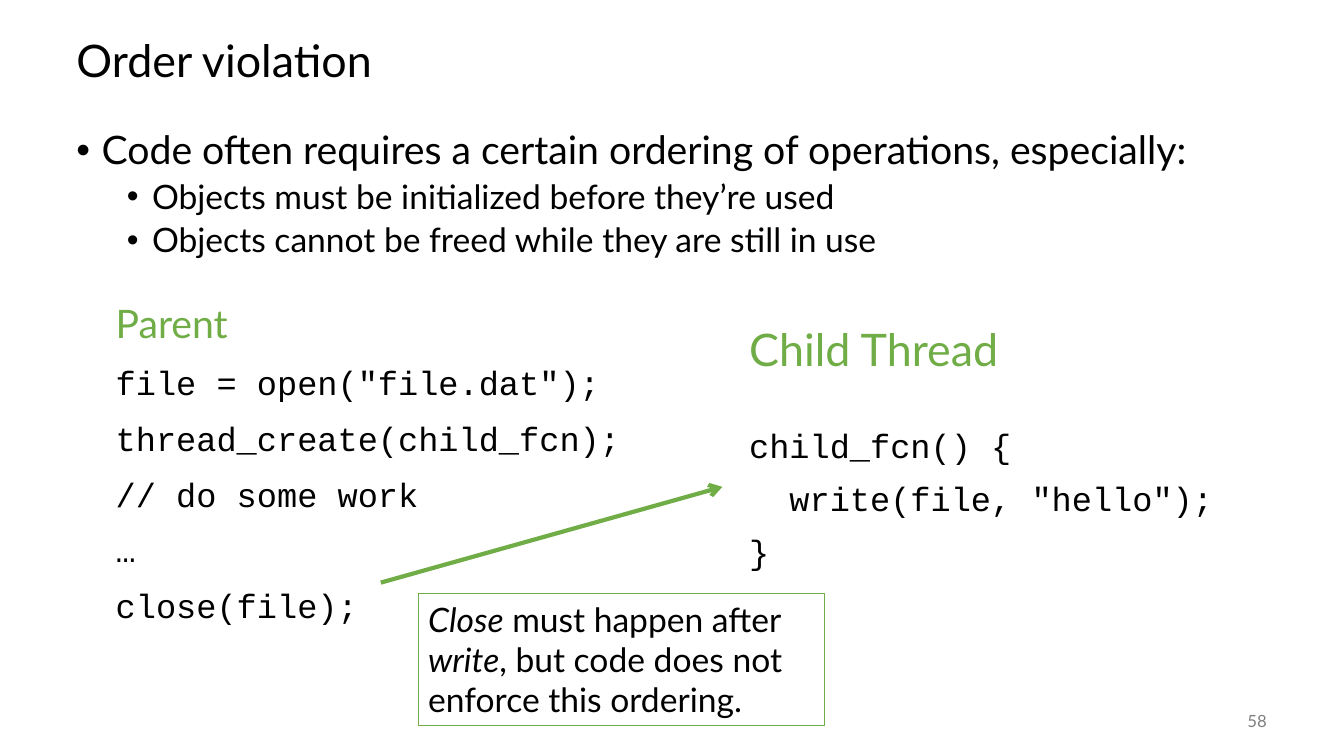
from lxml.etree import SubElement
from pptx import Presentation
from pptx.dml.color import RGBColor
from pptx.enum.shapes import MSO_CONNECTOR as Line, MSO_SHAPE as Shape
from pptx.enum.text import MSO_ANCHOR as Anchor, MSO_AUTO_SIZE as Fit, PP_ALIGN as Align
from pptx.oxml.ns import qn
from pptx.util import Inches, Pt

WIDTH, HEIGHT = Inches(13.33), Inches(7.5)
COLS, ROWS = 120, 60
GREEN, BLACK, GREY, WHITE = "70AD47", "000000", "808080", "FFFFFF"
SANS, MONO = "Lato", "Courier New"


def color(value):
    return RGBColor.from_string(value)


def grid(x, y, *size):
    places = [(x, y), size] if len(size) == 2 else [(x, y)]
    return [round(v) for col, row in places
            for v in (WIDTH * col / COLS, HEIGHT * row / ROWS)]


def para(text, size, font=SANS, fill=BLACK, bullet=None, **spacing):
    runs = [(text, False)] if isinstance(text, str) else text
    return dict(runs=runs, size=size, font=font, fill=fill, bullet=bullet,
                spacing=spacing)


def add_bullet(p, level):
    p.level = level
    pPr = p._p.get_or_add_pPr()
    pPr.set("marL", str(Inches(0.25 + 0.5 * level)))
    pPr.set("indent", str(-Inches(0.25)))
    SubElement(pPr, qn("a:buFont"), typeface="Arial")
    SubElement(pPr, qn("a:buChar"), char="•")


def fill_text(tf, paras, **frame):
    for name, value in {"word_wrap": True, **frame}.items():
        setattr(tf, name, value)
    for i, item in enumerate(paras):
        p = tf.add_paragraph() if i else tf.paragraphs[0]
        if item["bullet"] is not None:
            add_bullet(p, item["bullet"])
        for name, value in item["spacing"].items():
            setattr(p, name, value)
        for text, italic in item["runs"]:
            r = p.add_run()
            r.text = text
            look = {"name": item["font"], "size": Pt(item["size"]), "italic": italic}
            for name, value in look.items():
                setattr(r.font, name, value)
            r.font.color.rgb = color(item["fill"])


def text_box(s, place, paras, **frame):
    fill_text(s.shapes.add_textbox(*grid(*place)).text_frame, paras, **frame)


def code_box(s, place, heading, size, lines, first_gap, gap):
    paras = [para(heading, size, fill=GREEN, line_spacing=0.9)]
    for i, line in enumerate(lines):
        before = gap if i else first_gap
        paras.append(para(line, 24, MONO, line_spacing=0.9, space_before=Pt(before)))
    text_box(s, place, paras)


def note(s, place, runs):
    sp = s.shapes.add_shape(Shape.RECTANGLE, *grid(*place))
    sp.shadow.inherit = False
    sp.fill.solid()
    sp.fill.fore_color.rgb = color(WHITE)
    sp.line.color.rgb = color(GREEN)
    sp.line.width = Pt(0.75)
    fill_text(sp.text_frame, [para(runs, 24, alignment=Align.LEFT)],
              vertical_anchor=Anchor.TOP, auto_size=Fit.SHAPE_TO_FIT_TEXT)


def arrow(s, start, end):
    line = s.shapes.add_connector(Line.STRAIGHT, *grid(*start), *grid(*end))
    line.line.color.rgb = color(GREEN)
    line.line.width = Pt(3)
    SubElement(line.line._get_or_add_ln(), qn("a:tailEnd"), type="arrow")
    SubElement(line._element.spPr, qn("a:effectLst"))


def main():
    prs = Presentation()
    prs.slide_width, prs.slide_height = WIDTH, HEIGHT
    s = prs.slides.add_slide(prs.slide_layouts[6])

    text_box(s, (5.94, 2, 108, 6), [para("Order violation", 32, line_spacing=0.9)],
             vertical_anchor=Anchor.MIDDLE)

    points = ["Objects must be initialized before they’re used",
              "Objects cannot be freed while they are still in use"]
    text_box(s, (5.94, 10, 108, 44), [
        para("Code often requires a certain ordering of operations, especially:", 28,
             bullet=0, line_spacing=0.9),
        *(para(point, 24, bullet=1, line_spacing=0.9, space_before=Pt(5))
          for point in points)])

    code_box(s, (9.45, 23.76, 52.56, 32.4), "Parent", 28,
             ['file = open("file.dat");', "thread_create(child_fcn);",
              "// do some work", "…", "close(file);"], 14, 14)
    code_box(s, (66, 25.6, 43.92, 23.2), "Child Thread", 32,
             ["child_fcn() {", '  write(file, "hello");', "}"], 38, 12)

    arrow(s, (34, 46.24), (64.5, 38.64))
    note(s, (37.35, 47.12, 36.27, 10.48),
         [("Close", True), (" must happen after ", False), ("write", True),
          (", but code does not enforce this ordering.", False)])
    text_box(s, (105, 55.6, 9, 3.2),
             [para("58", 12, fill=GREY, alignment=Align.RIGHT)],
             vertical_anchor=Anchor.MIDDLE)
    prs.save("out.pptx")


if __name__ == "__main__":
    main()
